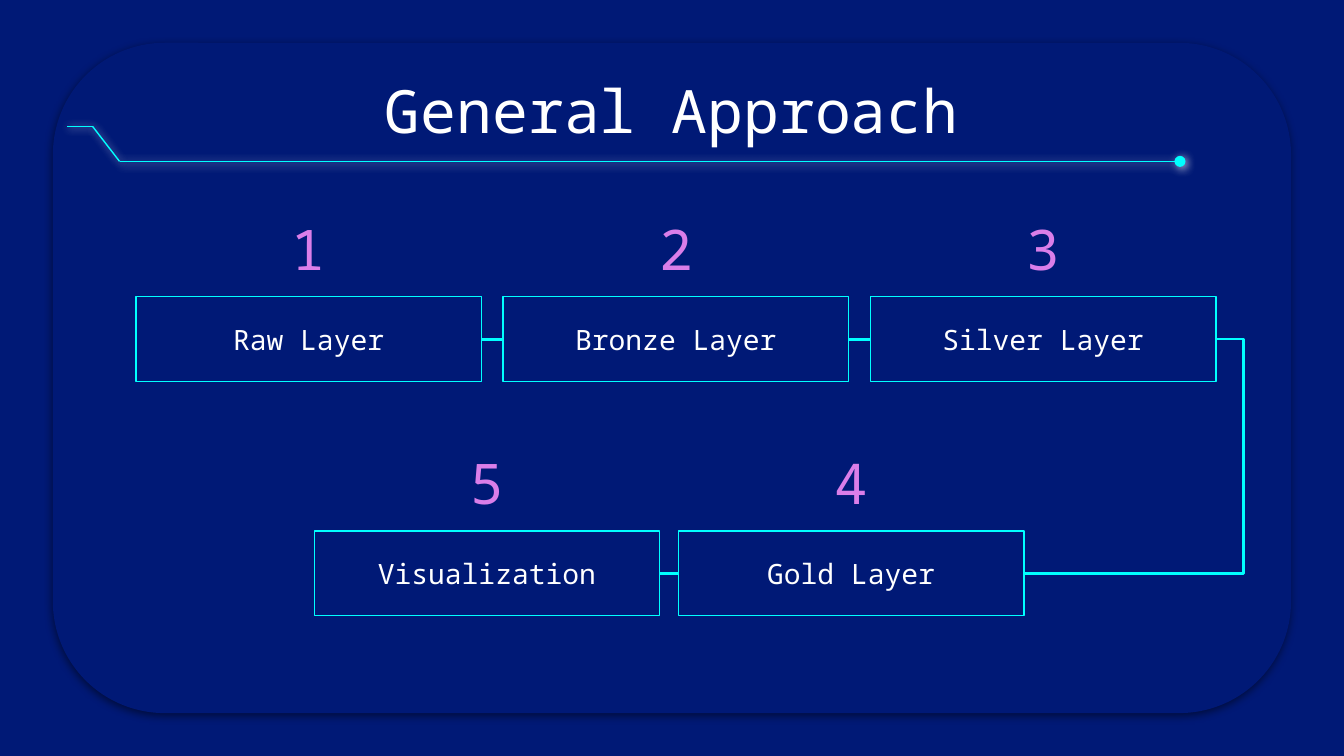
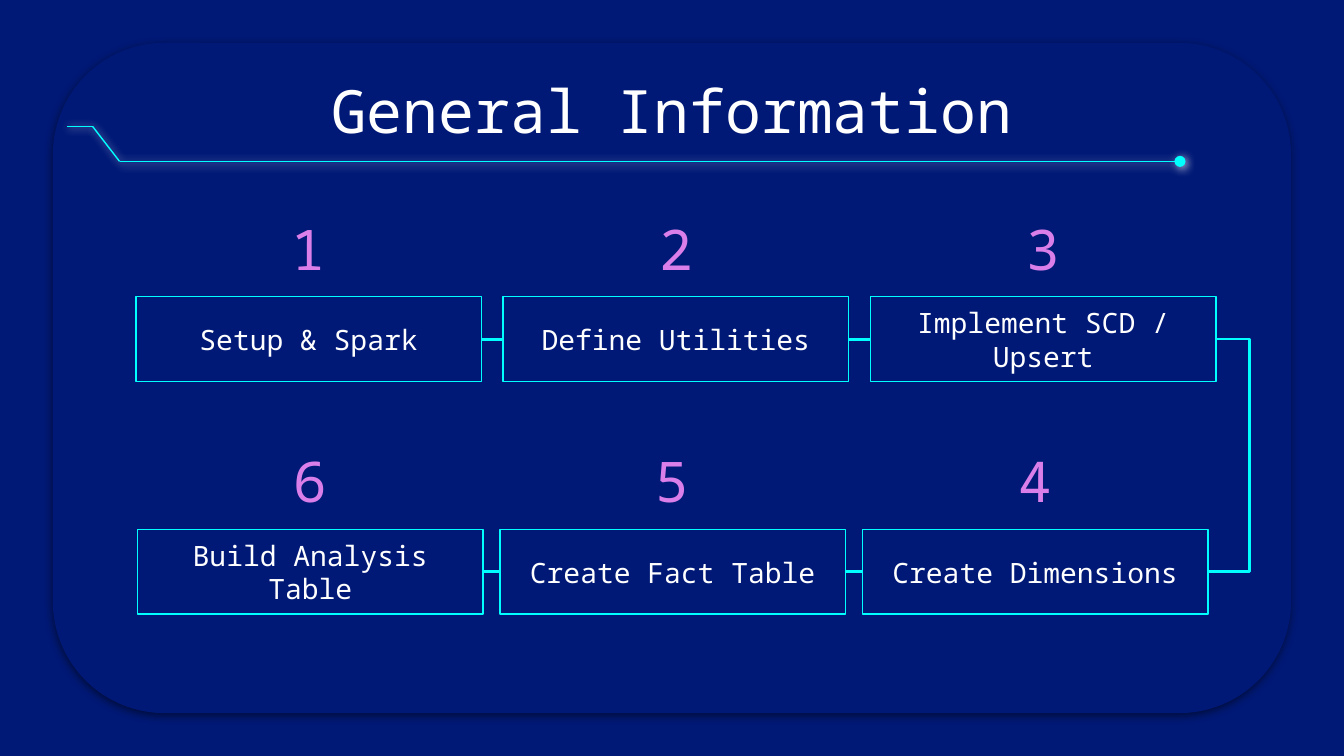
from dataclasses import dataclass

from lxml import etree
from pptx import Presentation
from pptx.dml.color import RGBColor
from pptx.enum.shapes import MSO_CONNECTOR, MSO_SHAPE
from pptx.enum.text import MSO_ANCHOR, MSO_AUTO_SIZE, PP_ALIGN
from pptx.oxml.ns import qn
from pptx.util import Cm, Pt

ROUNDED = MSO_SHAPE.ROUNDED_RECTANGLE
STRAIGHT, ELBOW = MSO_CONNECTOR.STRAIGHT, MSO_CONNECTOR.ELBOW
TOP, MIDDLE = MSO_ANCHOR.TOP, MSO_ANCHOR.MIDDLE
CENTER = PP_ALIGN.CENTER
NO_AUTOFIT = MSO_AUTO_SIZE.NONE
LEFT_SIDE, RIGHT_SIDE = 1, 3
TITLE_ONLY = 5


@dataclass(frozen=True)
class Theme:
    navy: str = "001976"
    cyan: str = "00FFFF"
    pink: str = "DA7EE9"
    white: str = "FFFFFF"
    black: str = "000000"
    font: str = "Noto Sans Mono"
    title_size: int = 32
    number_size: int = 30
    label_size: int = 15
    thin: float = 0.75
    thick: float = 1.5


THEME = Theme()
INSET = 0.25
BOX_W, BOX_H = 6.53, 1.6
NUMBER_SIDE = 1.85
RULE_POINTS = [(1.27, 2.39), (1.75, 2.39), (2.26, 3.05), (22.3, 3.05)]


@dataclass(frozen=True)
class Row:
    """Evenly spaced step boxes, listed from left to right."""
    left: float
    top: float
    pitch: float
    steps: tuple


def rgb(color):
    return RGBColor.from_string(color)


def write(tf, text, size, color, anchor=MIDDLE, top_inset=INSET):
    tf.word_wrap = True
    tf.auto_size = NO_AUTOFIT
    tf.vertical_anchor = anchor
    tf.margin_left = tf.margin_right = tf.margin_bottom = Cm(INSET)
    tf.margin_top = Cm(top_inset)
    p = tf.paragraphs[0]
    p.alignment = CENTER
    r = p.add_run()
    r.text = text
    r.font.name = THEME.font
    r.font.size = Pt(size)
    r.font.color.rgb = rgb(color)


def set_shadow(s, color, alpha, blur, distance, angle):
    """Outer shadow: alpha in percent, blur and distance in points."""
    effects = etree.SubElement(s._element.spPr, qn("a:effectLst"))
    shadow = etree.SubElement(
        effects, qn("a:outerShdw"), blurRad=str(Pt(blur)), dist=str(Pt(distance)),
        dir=str(angle * 60000), algn="bl", rotWithShape="0")
    clr = etree.SubElement(shadow, qn("a:srgbClr"), val=color)
    etree.SubElement(clr, qn("a:alpha"), val=str(alpha * 1000))


def add_line(shapes, kind, start, end, width):
    s = shapes.add_connector(kind, *(Cm(v) for v in (*start, *end)))
    s.line.color.rgb = rgb(THEME.cyan)
    s.line.width = Pt(width)
    return s


def add_panel(slide):
    s = slide.shapes.add_shape(ROUNDED, Cm(1), Cm(0.81), Cm(23.4), Cm(12.67))
    s.fill.solid()
    s.fill.fore_color.rgb = rgb(THEME.navy)
    s.line.fill.background()
    set_shadow(s, THEME.black, 50, 4.5, 1.5, 90)


def add_title(slide, text):
    sp = slide.shapes.title
    sp.left, sp.top, sp.width, sp.height = Cm(2), Cm(1.25), Cm(21.4), Cm(1.6)
    write(sp.text_frame, text, THEME.title_size, THEME.white, TOP, 0.15)
    slide.shapes._spTree.append(sp._element)  # in front of the panel


def add_title_rule(slide):
    group = slide.shapes.add_group_shape()
    for start, end in zip(RULE_POINTS, RULE_POINTS[1:]):
        s = add_line(group.shapes, STRAIGHT, start, end, THEME.thin)
        set_shadow(s, THEME.white, 75, 4.5, 0.8, 63)
    etree.SubElement(s.line._get_or_add_ln(), qn("a:tailEnd"), type="oval")


def add_step(slide, left, top, number, label):
    s = slide.shapes.add_shape(ROUNDED, Cm(left), Cm(top), Cm(BOX_W), Cm(BOX_H))
    s.adjustments[0] = 0
    s.shadow.inherit = False
    s.fill.background()
    s.line.color.rgb = rgb(THEME.cyan)
    s.line.width = Pt(THEME.thin)
    write(s.text_frame, label, THEME.label_size, THEME.white)

    number_left = left + (BOX_W - NUMBER_SIDE) / 2
    tb = slide.shapes.add_textbox(Cm(number_left), Cm(top - NUMBER_SIDE),
                                  Cm(NUMBER_SIDE), Cm(NUMBER_SIDE))
    write(tb.text_frame, str(number), THEME.number_size, THEME.pink)
    return s


def join(slide, kind, first, first_side, second, second_side):
    s = add_line(slide.shapes, kind, (0, 0), (1, 1), THEME.thick)
    s.begin_connect(first, first_side)
    s.end_connect(second, second_side)
    etree.SubElement(s._element.spPr, qn("a:effectLst"))
    return s


def add_row(slide, row):
    boxes = [add_step(slide, row.left + i * row.pitch, row.top, *step)
             for i, step in enumerate(row.steps)]
    for a, b in zip(boxes, boxes[1:]):
        join(slide, STRAIGHT, a, RIGHT_SIDE, b, LEFT_SIDE)
    return boxes


def add_turn(slide, upper, lower, overhang):
    """Elbow from the upper box round to the lower one, bulging to the right."""
    s = join(slide, ELBOW, upper, RIGHT_SIDE, lower, RIGHT_SIDE)
    bend = round(-Cm(overhang) / s.width * 100000)
    guides = s._element.spPr.find(qn("a:prstGeom")).get_or_add_avLst()
    etree.SubElement(guides, qn("a:gd"), name="adj1", fmla=f"val {bend}")


def add_process_slide(prs, title, upper, lower, overhang):
    slide = prs.slides.add_slide(prs.slide_layouts[TITLE_ONLY])
    add_panel(slide)
    add_title(slide, title)
    upper_boxes = add_row(slide, upper)
    lower_boxes = add_row(slide, lower)
    add_turn(slide, upper_boxes[-1], lower_boxes[-1], overhang)
    add_title_rule(slide)


def upper_row(*labels):
    return Row(2.57, 5.61, 6.94, tuple(enumerate(labels, 1)))


def main():
    prs = Presentation()
    prs.slide_width, prs.slide_height = Cm(25.4), Cm(14.29)
    fill = prs.slide_master.background.fill
    fill.solid()
    fill.fore_color.rgb = rgb(THEME.navy)

    add_process_slide(
        prs, "General Approach",
        upper_row("Raw Layer", "Bronze Layer", "Silver Layer"),
        Row(5.94, 10.04, 6.88, ((5, "Visualization"), (4, "Gold Layer"))),
        overhang=0.52)
    add_process_slide(
        prs, "General Information",
        upper_row("Setup & Spark", "Define Utilities", "Implement SCD / Upsert"),
        Row(2.6, 10.01, 6.85, ((6, "Build Analysis Table"), (5, "Create Fact Table"),
                               (4, "Create Dimensions"))),
        overhang=0.64)
    prs.save("out.pptx")


if __name__ == "__main__":
    main()
